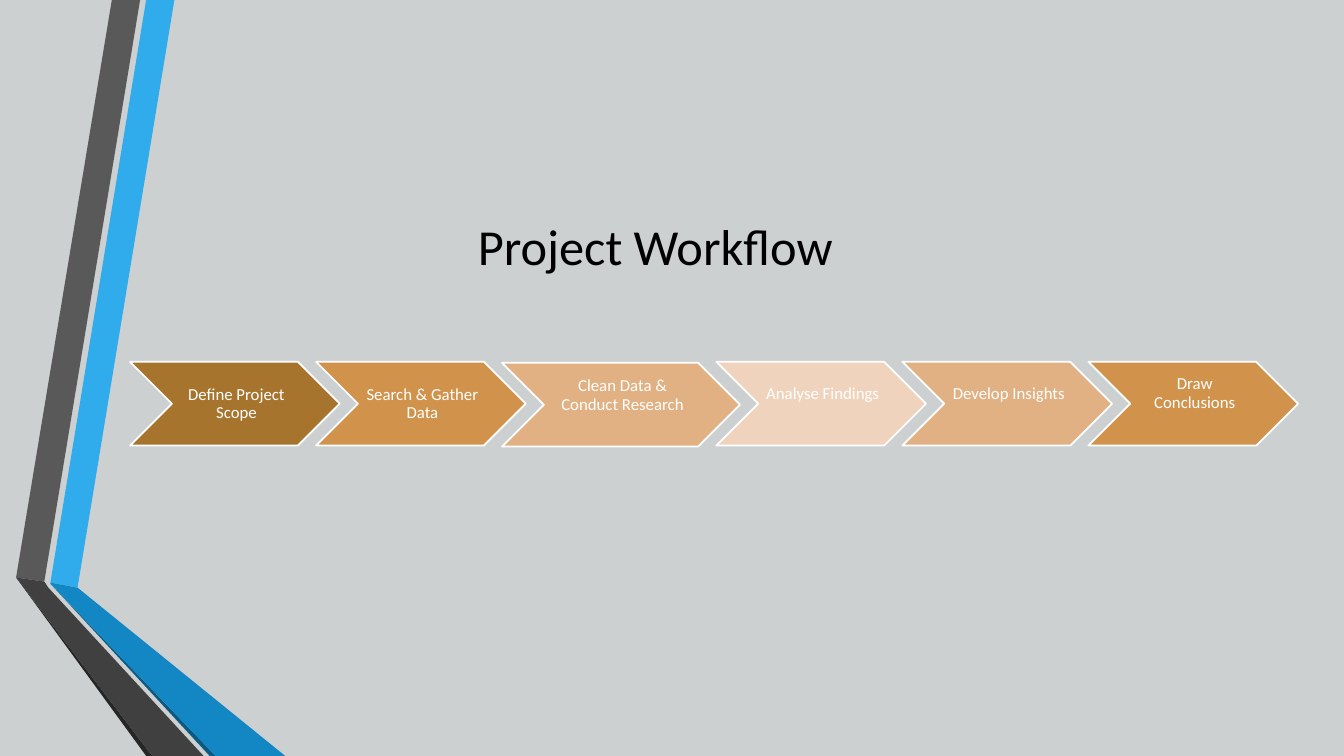
from pptx import Presentation
from pptx import util as u
from pptx.dml import color
from pptx.enum import shapes, text

HUES = {
    "back": "CDD0D1", "ink": "000000", "white": "FFFFFF",
    "sky": "30ACEC", "blue": "1287C3", "navy": "0C5A82",
    "gray": "595959", "dark": "404040", "black": "262626",
    "brown": "A7742E", "amber": "D1934C", "tan": "E1B183", "cream": "F0D3BC",
}
FONT = "Calibri"

# Corner points of each ribbon, in inches within the ribbon region
BANDS = [
    ("sky", [(0.5, 5.78), (0.77, 5.83), (1.73, 0), (1.45, 0)]),
    ("gray", [(1.39, 0), (1.11, 0), (0.16, 5.73), (0.44, 5.77)]),
    ("black", [(0.16, 5.73), (1.45, 7.5), (1.51, 7.5)]),
    ("navy", [(0.5, 5.79), (2.08, 7.5), (2.14, 7.5)]),
    ("blue", [(0.5, 5.79), (2.14, 7.5), (2.83, 7.5), (0.77, 5.83), (0.5, 5.78)]),
    ("dark", [(2.02, 7.5), (0.48, 5.83), (0.44, 5.77), (0.16, 5.73), (1.51, 7.5)]),
]

# Label, colour, width, drop of the arrow, lift of the label
STEPS = [
    ("Define Project Scope", "brown", 2.08, 0, 0),
    ("Search & Gather Data", "amber", 2.08, 0, 0),
    ("Clean Data &\nConduct Research", "tan", 2.36, 0.01, 0.09),
    ("Analyse Findings", "cream", 2.08, 0, 0.1),
    ("Develop Insights", "tan", 2.08, 0, 0.1),
    ("Draw\nConclusions", "amber", 2.08, 0, 0.1),
]
LAP = 0.235


def hue(name):
    return color.RGBColor.from_string(HUES[name])


def paint(shape, name):
    shape.shadow.inherit = False
    shape.fill.solid()
    shape.fill.fore_color.rgb = hue(name)


def write(para, words, size, name):
    """Add centred words, with a line break at each newline."""
    para.alignment = text.PP_ALIGN.CENTER
    for i, line in enumerate(words.split("\n")):
        if i:
            para.add_line_break()
        run = para.add_run()
        run.text = line
        run.font.size = u.Pt(size)
        run.font.name = FONT
        run.font.color.rgb = hue(name)


def add_bands(slide, left, top):
    for name, points in BANDS:
        spots = [(u.Inches(left + x), u.Inches(top + y)) for x, y in points]
        pen = slide.shapes.build_freeform(*spots[0])
        pen.add_line_segments(spots[1:], close=True)
        band = pen.convert_to_shape()
        paint(band, name)
        band.line.fill.background()


def add_title(slide, left, top, width, height):
    title = slide.shapes.title
    title.left, title.top = u.Inches(left), u.Inches(top)
    title.width, title.height = u.Inches(width), u.Inches(height)
    frame = title.text_frame
    frame.vertical_anchor = text.MSO_ANCHOR.MIDDLE
    write(frame.paragraphs[0], "Project Workflow", 36, "ink")


def add_label(slide, words, lift, left, top, width, height):
    box = slide.shapes.add_textbox(*map(u.Inches, (left, top - lift, width, height)))
    frame = box.text_frame
    frame.word_wrap = True
    frame.vertical_anchor = text.MSO_ANCHOR.MIDDLE
    frame.margin_left = u.Inches(0.05)
    frame.margin_top = frame.margin_right = frame.margin_bottom = u.Inches(0.02)
    para = frame.paragraphs[0]
    para.line_spacing = 0.9
    write(para, words, 12, "white")


def add_flow(slide, left, top, height):
    """Lay the step arrows in a row, each nested into the one before."""
    for words, name, width, drop, lift in STEPS:
        place = (left, top + drop, width, height)
        step = slide.shapes.add_shape(
            shapes.MSO_SHAPE.CHEVRON, *map(u.Inches, place))
        paint(step, name)
        step.line.color.rgb = hue("white")
        step.line.width = u.Pt(1.25)
        add_label(slide, words, lift, left + height / 2, top + drop,
                  width - height, height)
        left += width - LAP


def main():
    deck = Presentation()
    deck.slide_width, deck.slide_height = u.Inches(13.33), u.Inches(7.5)
    slide = deck.slides.add_slide(deck.slide_layouts[5])
    slide.background.fill.solid()
    slide.background.fill.fore_color.rgb = hue("back")
    add_bands(slide, 0, 0)
    add_title(slide, 3.9, 1.48, 5.2, 1.9)
    add_flow(slide, 1.29, 3.59, 0.83)
    deck.save("out.pptx")


if __name__ == "__main__":
    main()
